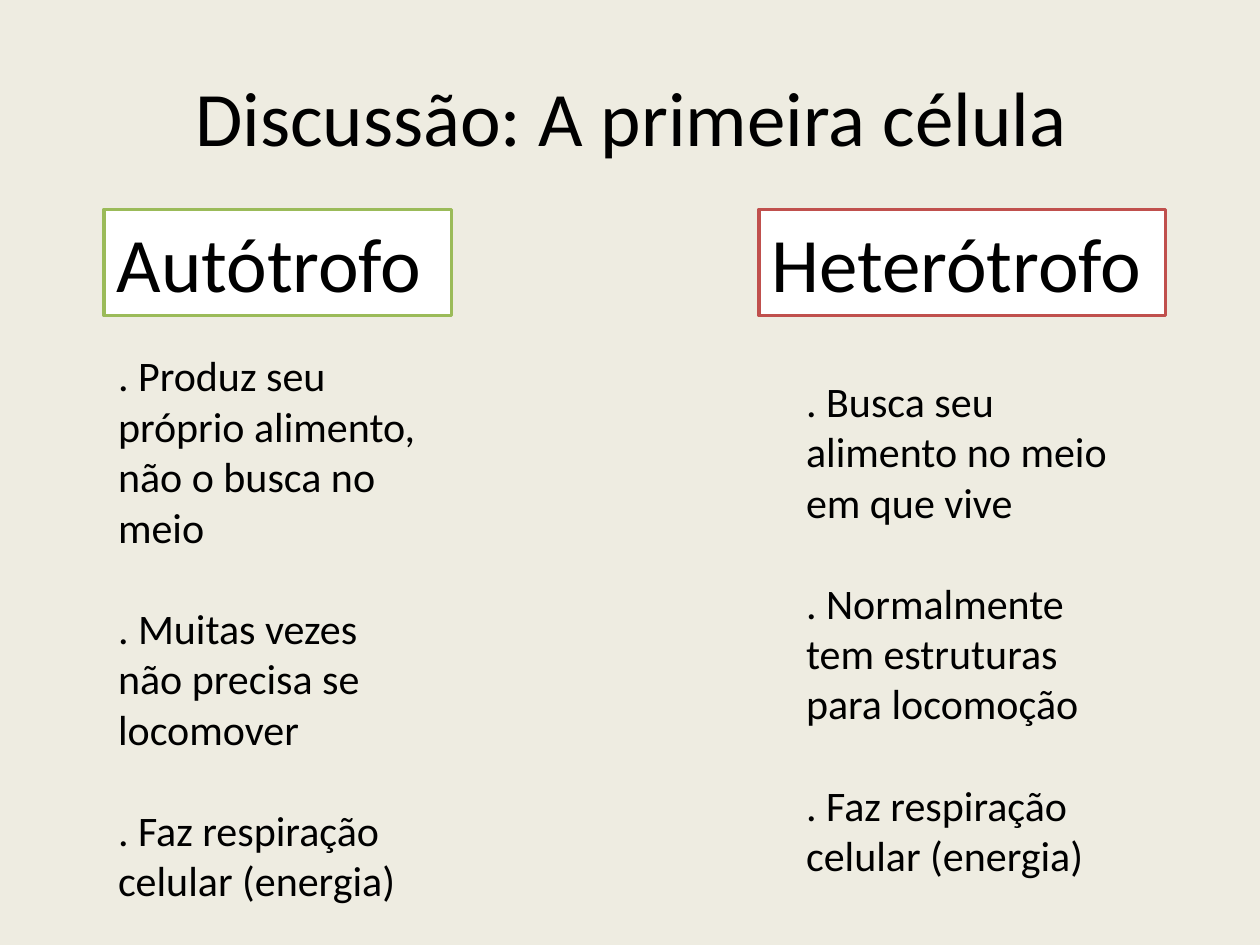
import dataclasses

import pptx
import pptx.dml.color
import pptx.enum.shapes
import pptx.enum.text
import pptx.util

Cm = pptx.util.Cm
Pt = pptx.util.Pt
Align = pptx.enum.text.PP_ALIGN
Anchor = pptx.enum.text.MSO_ANCHOR


@dataclasses.dataclass(frozen=True)
class Theme:
    """Colours, font and type sizes of the deck."""
    background: str = "EEECE1"
    panel: str = "FFFFFF"
    text: str = "000000"
    green: str = "9BBB59"
    red: str = "C0504D"
    font: str = "Calibri"
    heading_size: int = 44
    body_size: int = 24
    body_gap: int = 29
    border: int = 2


def colour(value):
    """Turn a hex string into a colour."""
    return pptx.dml.color.RGBColor.from_string(value)


def apply_format(target, values):
    """Set every attribute named in the dict."""
    for name, value in values.items():
        setattr(target, name, value)


class SlideBuilder:
    """Draws styled elements on the current slide."""

    def __init__(self, slide, theme):
        self.slide = slide
        self.theme = theme
        fill = slide.background.fill
        fill.solid()
        fill.fore_color.rgb = colour(theme.background)

    def add_text(self, shape, lines, size, align=Align.LEFT, anchor=Anchor.TOP):
        """Fill a shape with evenly spaced paragraphs."""
        frame = shape.text_frame
        apply_format(frame, {"word_wrap": True, "vertical_anchor": anchor})
        for index, line in enumerate(lines):
            para = frame.add_paragraph() if index else frame.paragraphs[0]
            gap = Pt(self.theme.body_gap if index else 0)
            apply_format(para, {"alignment": align, "space_before": gap})
            span = para.add_run()
            span.text = line
            apply_format(span.font, {"name": self.theme.font, "size": Pt(size)})
            span.font.color.rgb = colour(self.theme.text)

    def title(self, text, left, top, width, height):
        """Add the centred slide title."""
        box = self.slide.shapes.add_textbox(Cm(left), Cm(top), Cm(width), Cm(height))
        self.add_text(box, [text], self.theme.heading_size, Align.CENTER, Anchor.MIDDLE)

    def heading(self, text, border, left, top, width, height):
        """Add a framed column heading."""
        box = self.slide.shapes.add_shape(
            pptx.enum.shapes.MSO_SHAPE.RECTANGLE, Cm(left), Cm(top), Cm(width), Cm(height))
        box.shadow.inherit = False
        box.fill.solid()
        box.fill.fore_color.rgb = colour(self.theme.panel)
        box.line.color.rgb = colour(border)
        box.line.width = Pt(self.theme.border)
        self.add_text(box, [text], self.theme.heading_size)

    def body(self, lines, left, top, width, height):
        """Add a column of statements."""
        box = self.slide.shapes.add_textbox(Cm(left), Cm(top), Cm(width), Cm(height))
        self.add_text(box, lines, self.theme.body_size)


def main():
    """Build and save the deck."""
    theme = Theme()
    deck = pptx.Presentation()
    apply_format(deck, {"slide_width": Cm(25.4), "slide_height": Cm(19.05)})
    page = SlideBuilder(deck.slides.add_slide(deck.slide_layouts[6]), theme)

    page.title("Discussão: A primeira célula", 1.3, 0.74, 22.86, 3.18)
    page.heading("Autótrofo", theme.green, 2.1, 4.22, 7, 2.14)
    page.heading("Heterótrofo", theme.red, 15.3, 4.22, 8.2, 2.14)

    energy = ". Faz respiração celular (energia)"
    page.body([
        ". Produz seu próprio alimento, não o busca no meio",
        ". Muitas vezes não precisa se locomover",
        energy,
    ], 2.13, 6.93, 6.8, 11.53)
    page.body([
        ". Busca seu alimento no meio em que vive",
        ". Normalmente tem estruturas para locomoção",
        energy,
    ], 16, 7.44, 6.8, 10.52)

    deck.save("out.pptx")


if __name__ == "__main__":
    main()
